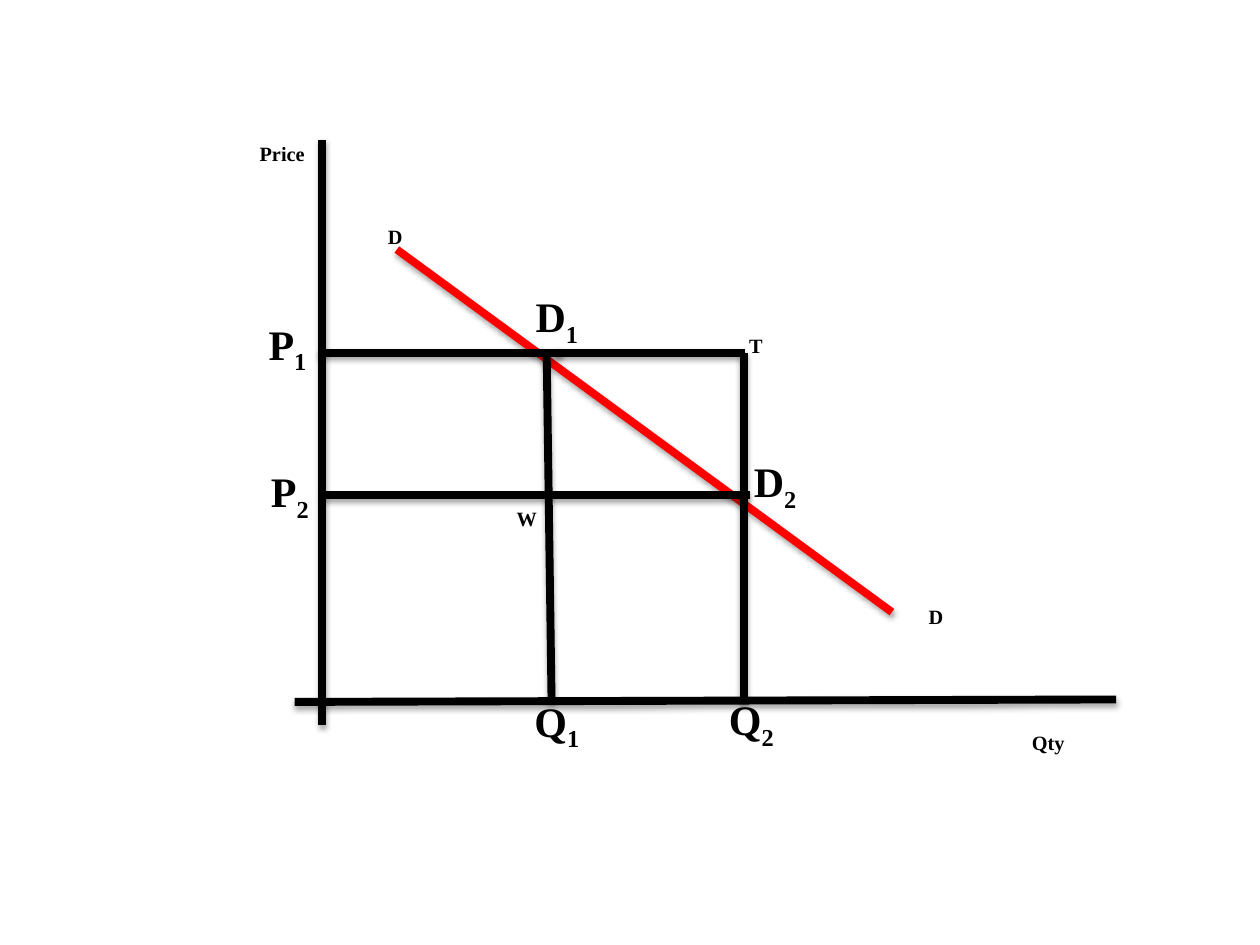
from dataclasses import dataclass

from lxml.etree import SubElement
from pptx import Presentation
from pptx.dml.color import RGBColor
from pptx.enum.shapes import MSO_CONNECTOR
from pptx.enum.text import MSO_ANCHOR, PP_ALIGN
from pptx.oxml.ns import qn
from pptx.slide import Slide
from pptx.util import Cm, Pt

COLORS = {"ink": "000000", "demand": "FF0000"}
FONT = "Times New Roman"
P1_LEVEL, P2_LEVEL, BASELINE = 7.11, 9.98, 14.15
Q2_POSITION = 14.99


@dataclass(frozen=True)
class Segment:
    """A straight line between two points, in centimetres."""
    start: tuple[float, float]
    end: tuple[float, float]
    color: str = "ink"


@dataclass(frozen=True)
class Label:
    """A letter or word, a subscript, or both, in a centred box."""
    left: float
    top: float
    subscript: str
    base: str = ""

    @property
    def size(self) -> tuple[float, float]:
        return (3.51, 3.63) if self.base else (3.3, 1.14)

    @property
    def points(self) -> int:
        return 24 if self.base else 20


SEGMENTS = [
    Segment((6.5, 2.82), (6.5, 14.61)),  # price axis
    Segment((22.5, 14.1), (5.94, BASELINE)),  # quantity axis
    Segment((8, 5.03), (17.98, 12.34), "demand"),
    Segment((11.33, P1_LEVEL), (6.43, P1_LEVEL)),
    Segment((Q2_POSITION, BASELINE), (Q2_POSITION, P1_LEVEL)),
    Segment((11.12, BASELINE), (11.02, P1_LEVEL)),
    Segment((15.01, P1_LEVEL), (11.18, P1_LEVEL)),
    Segment((15.11, P2_LEVEL), (6.48, P2_LEVEL)),
]

LABELS = [
    Label(4.04, 5.18, "1", "P"),
    Label(4.09, 8.15, "2", "P"),
    Label(9.47, 12.78, "1", "Q"),
    Label(13.39, 12.75, "2", "Q"),
    Label(9.47, 4.62, "1", "D"),
    Label(13.87, 7.95, "2", "D"),
    Label(4.04, 2.29, "Price"),
    Label(19.48, 14.15, "Qty"),
    Label(17.22, 11.61, "D"),
    Label(6.32, 3.96, "D"),
    Label(13.59, 6.15, "T"),
    Label(8.97, 9.65, "W"),
]


def draw_segment(slide: Slide, segment: Segment) -> None:
    """Draw a thick line with a soft shadow below it."""
    ends = [Cm(value) for value in (*segment.start, *segment.end)]
    connector = slide.shapes.add_connector(MSO_CONNECTOR.STRAIGHT, *ends)
    connector.line.width = Pt(4.5)
    connector.line.color.rgb = RGBColor.from_string(COLORS[segment.color])

    effects = SubElement(connector._element.spPr, qn("a:effectLst"))
    shadow = SubElement(
        effects, qn("a:outerShdw"), blurRad=str(Pt(3)), dist=str(Pt(1.8)),
        dir="5400000", rotWithShape="0")
    shade = SubElement(shadow, qn("a:srgbClr"), val=COLORS["ink"])
    SubElement(shade, qn("a:alpha"), val="35000")


def draw_label(slide: Slide, label: Label) -> None:
    area = [Cm(value) for value in (label.left, label.top, *label.size)]
    frame = slide.shapes.add_textbox(*area).text_frame
    frame.word_wrap = True
    frame.vertical_anchor = MSO_ANCHOR.MIDDLE
    frame.margin_left = frame.margin_right = Cm(0.13)
    frame.margin_top = frame.margin_bottom = Cm(0.13)

    paragraph = frame.paragraphs[0]
    paragraph.alignment = PP_ALIGN.CENTER
    paragraph.font.name = FONT
    paragraph.font.size = Pt(label.points)
    paragraph.font.bold = True
    paragraph.font.color.rgb = RGBColor.from_string(COLORS["ink"])
    if label.base:
        paragraph.add_run().text = label.base
    subscript = paragraph.add_run()
    subscript.text = label.subscript
    subscript._r.get_or_add_rPr().set("baseline", "-25000")


def main() -> None:
    deck = Presentation()
    deck.slide_width, deck.slide_height = Cm(25.4), Cm(19.05)
    slide = deck.slides.add_slide(deck.slide_layouts.get_by_name("Blank"))
    for segment in SEGMENTS:
        draw_segment(slide, segment)
    for label in LABELS:
        draw_label(slide, label)
    deck.save("out.pptx")


if __name__ == "__main__":
    main()
